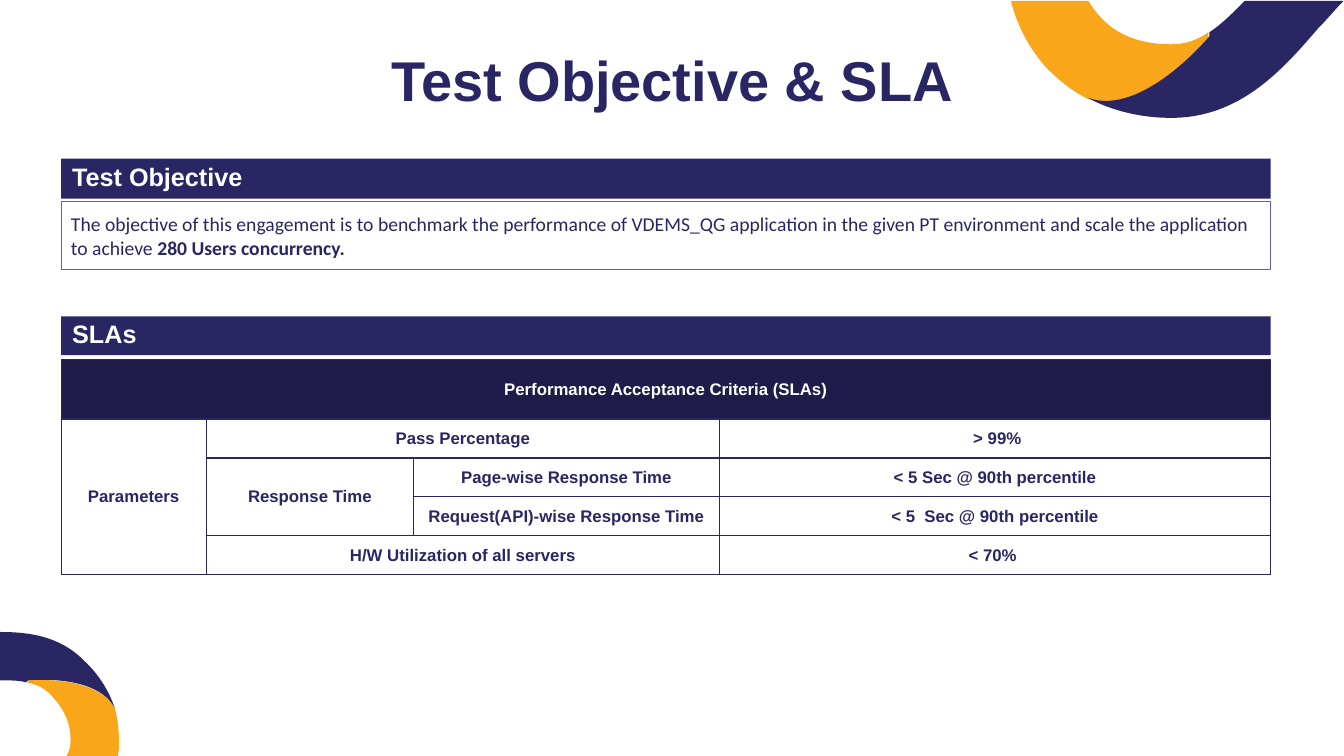
from lxml.etree import Element, SubElement
from pptx import Presentation
from pptx.dml.color import RGBColor
from pptx.enum.shapes import MSO_SHAPE
from pptx.enum.text import MSO_ANCHOR, PP_ALIGN
from pptx.oxml.ns import qn
from pptx.util import Cm, Pt

# Content
NAVY, GOLD, DARK, WHITE, EDGE = "292663", "FAA61A", "1F1C4A", "FFFFFF", "625DC1"
TITLE = "Test Objective & SLA"
GOAL = [
    ("The objective of this engagement is to benchmark the performance of VDEMS_QG "
     "application in the given PT environment and scale the application to achieve ", False),
    ("280 Users concurrency.", True),
]
BARS = [("Test Objective", 4, 1.01), ("SLAs", 7.97, 0.98)]  # text, top, height
LEFT, WIDE = 1.54, 30.48
COLS = [3.66, 5.22, 7.71, 13.89]
ROWS = [1.5] + [0.98] * 4
CELLS = [  # row, column, rows spanned, columns spanned, text
    (0, 0, 1, 4, "Performance Acceptance Criteria (SLAs)"),
    (1, 0, 4, 1, "Parameters"),
    (1, 1, 1, 2, "Pass Percentage"),
    (1, 3, 1, 1, " > 99%"),
    (2, 1, 2, 1, "Response Time"),
    (2, 2, 1, 1, "Page-wise Response Time"),
    (2, 3, 1, 1, "< 5 Sec @ 90th percentile"),
    (3, 2, 1, 1, "Request(API)-wise Response Time"),
    (3, 3, 1, 1, "< 5  Sec @ 90th percentile"),
    (4, 1, 1, 2, "H/W Utilization of all servers"),
    (4, 3, 1, 1, "< 70% "),
]

# Ribbons in hundredths of an inch: a pair is a line end, six numbers are a curve
UNIT = 0.0254
BANDS = [
    (GOLD, [(114, 703), (97, 669, 28, 675, 28, 675), (27, 677),
            (36, 679, 43, 682, 50, 689), (64, 703, 70, 718, 70, 734),
            (70, 740, 69, 745, 66, 750), (117, 750),
            (118, 745, 118, 740, 118, 736), (118, 724, 117, 714, 114, 703)]),
    (NAVY, [(26, 677), (28, 675), (28, 675, 97, 668, 114, 703),
            (108, 685, 98, 669, 83, 655), (59, 631, 29, 627, 0, 627),
            (0, 675), (10, 675, 19, 675, 26, 677)]),
    (GOLD, [(1199, 37), (1199, 32), (1188, 40, 1176, 44, 1162, 44),
            (1132, 44, 1108, 35, 1092, 17), (1087, 12, 1083, 6, 1080, 1),
            (1003, 1), (1009, 25, 1021, 48, 1038, 67),
            (1050, 79, 1063, 90, 1079, 98), (1133, 117, 1199, 37, 1199, 37)]),
    (NAVY, [(1200, 32), (1200, 36), (1200, 36, 1133, 117, 1079, 97),
            (1103, 110, 1132, 117, 1162, 117), (1230, 117, 1272, 70, 1308, 28),
            (1317, 19, 1325, 9, 1333, 1), (1235, 1),
            (1222, 14, 1211, 25, 1200, 32)]),
]


def paint(part, hue):
    part.solid()
    part.fore_color.rgb = RGBColor.from_string(hue)


def style(para, size, hue, bold=True, face="Arial"):
    for run in para.runs:
        font = run.font
        font.size, font.bold, font.name = Pt(size), bold, face
        font.color.rgb = RGBColor.from_string(hue)


def ribbon(hue, steps):
    steps = [[Cm(n * UNIT) for n in step] for step in steps]
    ends = [step[-2:] for step in steps]
    pen = shapes.build_freeform(*ends[0], scale=1.0)
    pen.add_line_segments(ends[1:], close=True)
    form = pen.convert_to_shape()
    form.shadow.inherit = False
    paint(form.fill, hue)
    form.line.fill.background()
    # Bend the straight parts that have control points
    parts = list(form._element.iter(qn("a:lnTo")))
    for part, step in zip(parts, steps[1:]):
        if len(step) == 6:
            part.tag = qn("a:cubicBezTo")
            for i in (0, 1):
                x, y = step[2 * i] - form.left, step[2 * i + 1] - form.top
                part.insert(i, Element(qn("a:pt"), x=str(x), y=str(y)))


def panel(top, high):
    box = shapes.add_shape(MSO_SHAPE.RECTANGLE, Cm(LEFT), Cm(top), Cm(WIDE), Cm(high))
    box.shadow.inherit = False
    box.text_frame.word_wrap = True
    box.text_frame.vertical_anchor = MSO_ANCHOR.MIDDLE
    box.text_frame.paragraphs[0].alignment = PP_ALIGN.LEFT
    return box


def border(cell):
    props = cell._tc.get_or_add_tcPr()
    for i, side in enumerate(("lnL", "lnR", "lnT", "lnB")):
        line = SubElement(props, qn("a:" + side), w=str(Pt(0.96)))
        fill = SubElement(line, qn("a:solidFill"))
        SubElement(fill, qn("a:srgbClr"), val=NAVY)
        props.insert(i, line)


deck = Presentation()
deck.slide_width, deck.slide_height = Cm(33.87), Cm(19.05)
shapes = deck.slides.add_slide(deck.slide_layouts[6]).shapes

# Corner ribbons
for hue, steps in BANDS:
    ribbon(hue, steps)

# Title
frame = shapes.add_textbox(Cm(7.71), Cm(1.01), Cm(18.45), Cm(1.95)).text_frame
frame.word_wrap = True
frame.vertical_anchor = MSO_ANCHOR.MIDDLE
para = frame.paragraphs[0]
para.text = TITLE
para.alignment = PP_ALIGN.CENTER
para.space_before = Pt(10)
style(para, 40, NAVY)

# Objective
box = panel(5.09, 1.7)
box.fill.background()
paint(box.line.fill, EDGE)
box.line.width = Pt(0.75)
para = box.text_frame.paragraphs[0]
para.space_before = Pt(6)
for text, bold in GOAL:
    para.add_run().text = text
style(para, 14, NAVY, face="Calibri")
for run, (text, bold) in zip(para.runs, GOAL):
    run.font.bold = bold

# Section bars
for text, top, high in BARS:
    bar = panel(top, high)
    paint(bar.fill, NAVY)
    bar.line.fill.background()
    para = bar.text_frame.paragraphs[0]
    para.text = text
    para.line_spacing = 0.9
    props = para._p.get_or_add_pPr()
    props.set("marL", str(Cm(0.64)))
    props.set("indent", str(Cm(-0.61)))
    style(para, 18, WHITE)

# Criteria table
grid = shapes.add_table(len(ROWS), len(COLS), Cm(LEFT), Cm(9.06),
                        Cm(WIDE), Cm(sum(ROWS))).table
grid.first_row = grid.horz_banding = False
for col, wide in zip(grid.columns, COLS):
    col.width = Cm(wide)
for row, high in zip(grid.rows, ROWS):
    row.height = Cm(high)
for cell in grid.iter_cells():
    cell.margin_left = cell.margin_right = Cm(0.03)
    cell.margin_top = cell.margin_bottom = Cm(0.13)
    cell.vertical_anchor = MSO_ANCHOR.MIDDLE
    cell.fill.background()
    border(cell)
for r, c, down, over, text in CELLS:
    cell = grid.cell(r, c)
    if down * over > 1:
        cell.merge(grid.cell(r + down - 1, c + over - 1))
    if r == 0:
        paint(cell.fill, DARK)
    para = cell.text_frame.paragraphs[0]
    para.text = text
    para.alignment = PP_ALIGN.CENTER
    style(para, 12, NAVY if r else WHITE)

deck.save("out.pptx")
